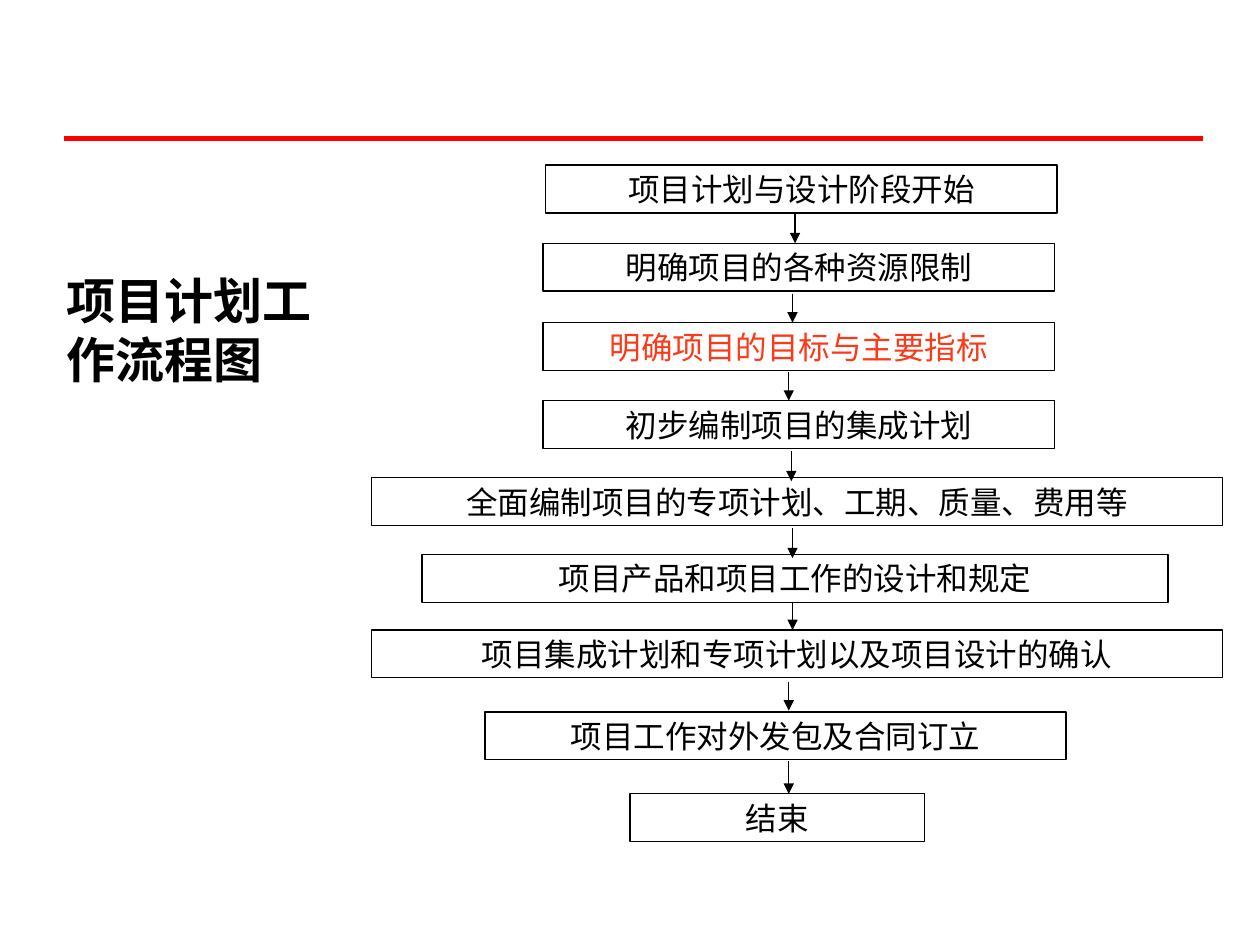
from lxml import etree
from pptx import Presentation
from pptx.dml.color import RGBColor
from pptx.enum import shapes, text
from pptx.oxml.ns import qn
from pptx.util import Inches, Pt

TITLE = "项目计划工作流程图"
BLACK, RED, ORANGE = "000000", "FF0000", "FC3918"
BOX_H = 0.38

# text, left, top, width, text colour
STEPS = [
    ("项目计划与设计阶段开始", 4.33, 1.31, 4.06, BLACK),
    ("明确项目的各种资源限制", 4.31, 1.93, 4.06, BLACK),
    ("明确项目的目标与主要指标", 4.31, 2.56, 4.06, ORANGE),
    ("初步编制项目的集成计划", 4.31, 3.18, 4.06, BLACK),
    ("全面编制项目的专项计划、工期、质量、费用等", 2.95, 3.79, 6.75, BLACK),
    ("项目产品和项目工作的设计和规定", 3.35, 4.4, 5.92, BLACK),
    ("项目集成计划和专项计划以及项目设计的确认", 2.95, 5, 6.75, BLACK),
    ("项目工作对外发包及合同订立", 3.85, 5.65, 4.61, BLACK),
    ("结束", 5, 6.3, 2.34, BLACK),
]
# x, top, bottom
ARROWS = [
    (6.31, 1.69, 1.93), (6.29, 2.33, 2.56), (6.26, 2.95, 3.18),
    (6.28, 3.58, 3.82), (6.29, 4.19, 4.43), (6.29, 4.78, 5),
    (6.26, 5.41, 5.64), (6.26, 6.04, 6.3),
]


def rgb(color):
    return RGBColor.from_string(color)


def write(shape, content, margins, align, color, **font):
    tf = shape.text_frame
    frame = dict(word_wrap=True, vertical_anchor=text.MSO_ANCHOR.TOP)
    frame.update(zip(("margin_left", "margin_top", "margin_right", "margin_bottom"),
                     map(Inches, margins)))
    for name, value in frame.items():
        setattr(tf, name, value)
    p = tf.paragraphs[0]
    p.alignment = align
    r = p.add_run()
    r.text = content
    r.font.color.rgb = rgb(color)
    for name, value in font.items():
        setattr(r.font, name, value)


def add_line(s, x1, y1, x2, y2, color, width, arrow=False):
    line = s.shapes.add_connector(shapes.MSO_CONNECTOR.STRAIGHT,
                                  *map(Inches, (x1, y1, x2, y2)))
    line.line.color.rgb = rgb(color)
    line.line.width = Pt(width)
    if arrow:
        etree.SubElement(line.line._get_or_add_ln(), qn("a:tailEnd"), type="triangle")
    etree.SubElement(line._element.spPr, qn("a:effectLst"))


def add_step(s, content, left, top, width, color):
    sp = s.shapes.add_shape(shapes.MSO_SHAPE.RECTANGLE,
                            *map(Inches, (left, top, width, BOX_H)))
    sp.shadow.inherit = False
    sp.fill.background()
    sp.line.color.rgb = rgb(BLACK)
    sp.line.width = Pt(0.75)
    write(sp, content, (0.04, 0.04, 0.04, 0), text.PP_ALIGN.CENTER, color,
          name="Times New Roman", size=Pt(18))


def main():
    prs = Presentation()
    prs.slide_width, prs.slide_height = Inches(10), Inches(7.5)
    s = prs.slides.add_slide(prs.slide_layouts[6])
    add_line(s, 0.51, 1.1, 9.55, 1.1, RED, 3)
    title = s.shapes.add_textbox(*map(Inches, (0.43, 2.1, 2.36, 1.03)))
    write(title, TITLE, (0.1, 0.05, 0.1, 0.05), text.PP_ALIGN.LEFT, BLACK,
          name="Arial", size=Pt(28), bold=True)
    for step in STEPS:
        add_step(s, *step)
    for x, top, bottom in ARROWS:
        add_line(s, x, top, x, bottom, BLACK, 0.75, arrow=True)
    prs.save("out.pptx")


if __name__ == "__main__":
    main()
